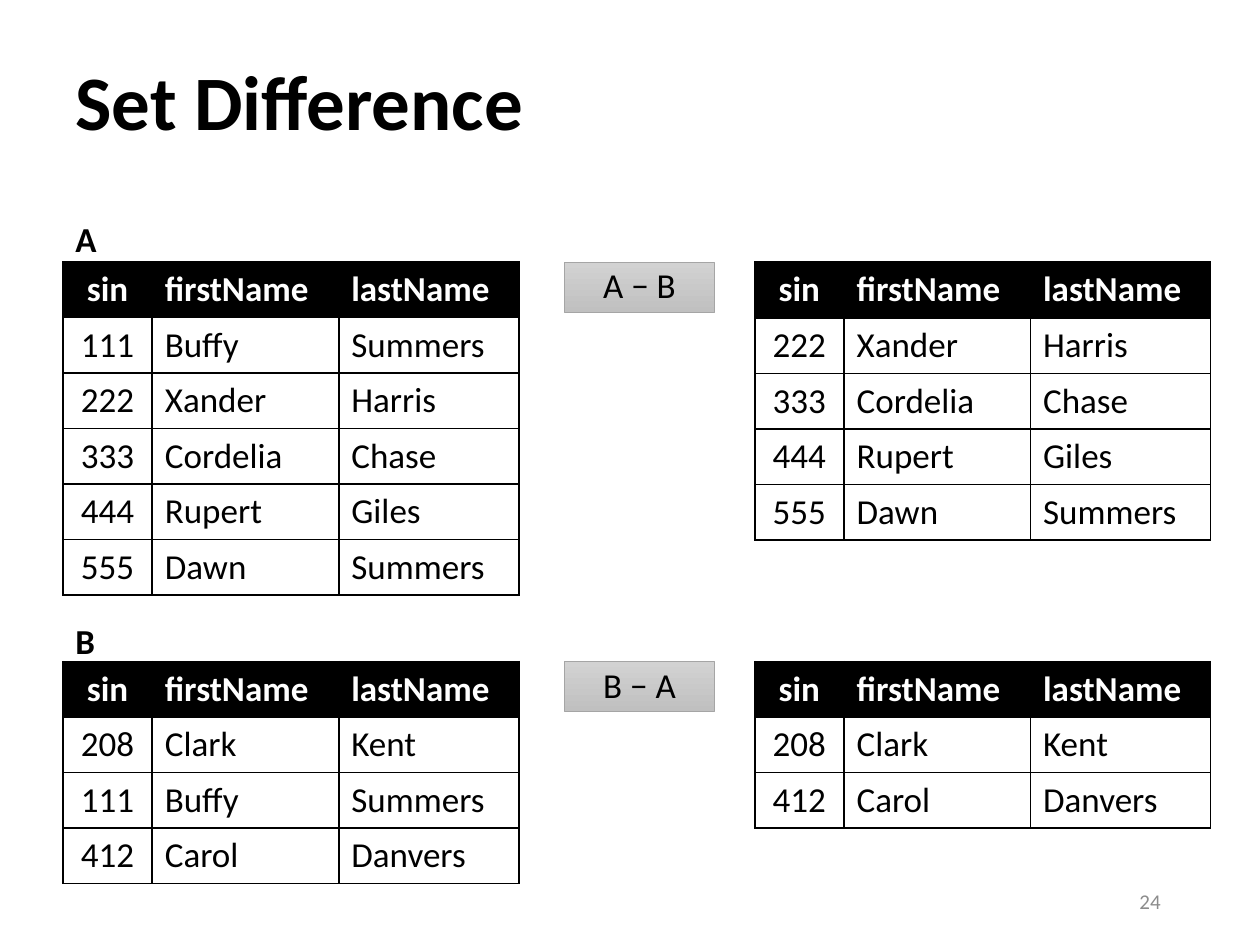
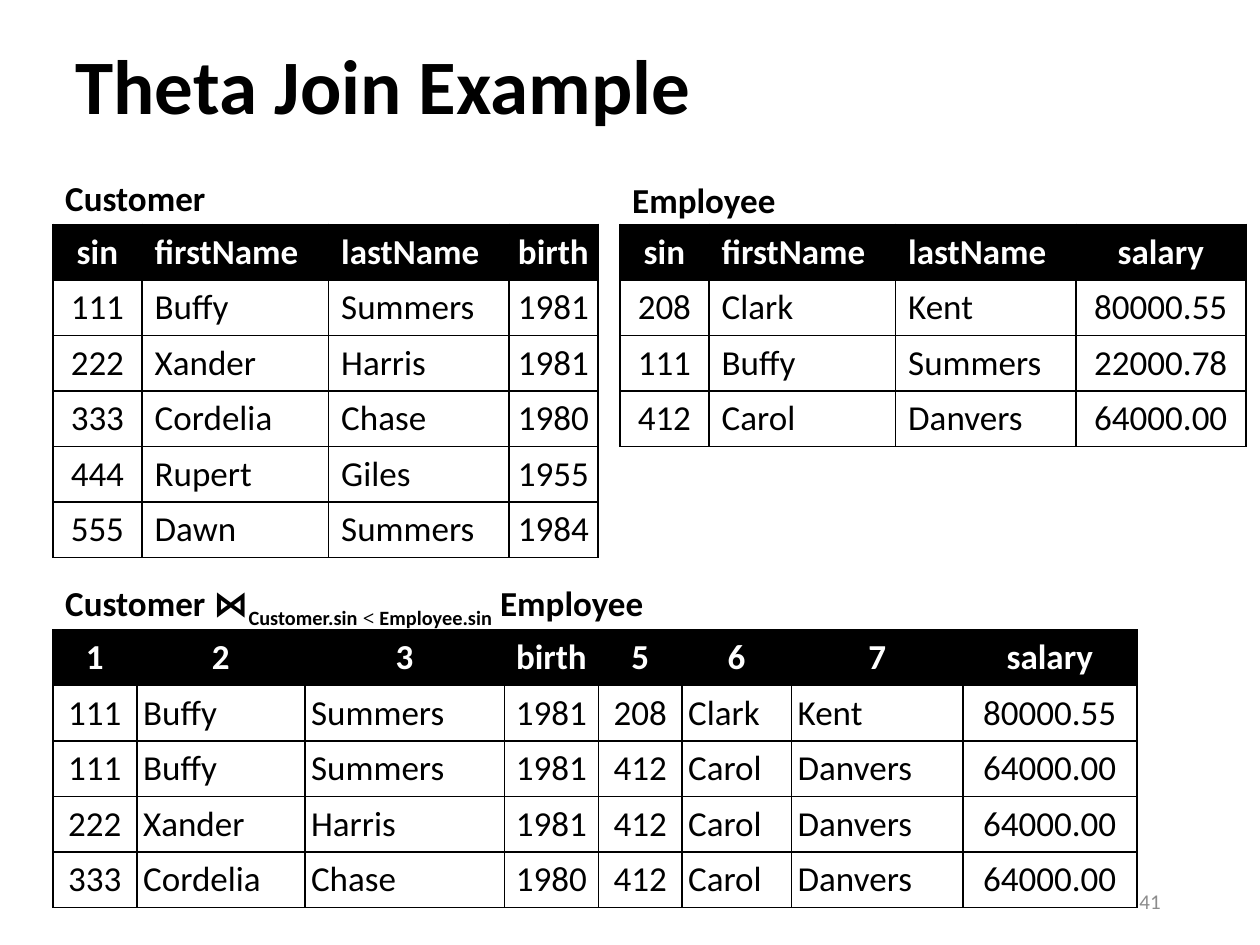
"""Build two relational algebra slides: set difference and a theta join."""
from lxml import etree
from pptx import Presentation
from pptx.dml.color import RGBColor
from pptx.enum import shapes, text
from pptx.oxml import ns
from pptx.util import Pt

BLACK, WHITE, GREY, EDGE = "000000", "FFFFFF", "8C8C8C", "A5A5A5"
LEFT, CENTER, RIGHT = text.PP_ALIGN.LEFT, text.PP_ALIGN.CENTER, text.PP_ALIGN.RIGHT
MIDDLE = text.MSO_ANCHOR.MIDDLE
CENTERED = {"sin", "birth", "salary"}


def rgb(value):
    return RGBColor.from_string(value)


def write(p, content, size=20, color=BLACK, bold=False, font="Calibri", align=LEFT, baseline=0):
    p.alignment = align
    r = p.add_run()
    r.text = content
    r.font.size, r.font.bold, r.font.name = Pt(size), bold, font
    r.font.color.rgb = rgb(color)
    if baseline:
        r._r.get_or_add_rPr().set("baseline", str(baseline * 1000))


names = ["sin", "firstName", "lastName"]
buffy = ["111", "Buffy", "Summers"]
xander = ["222", "Xander", "Harris"]
cordelia = ["333", "Cordelia", "Chase"]
rupert = ["444", "Rupert", "Giles"]
dawn = ["555", "Dawn", "Summers"]
clark = ["208", "Clark", "Kent"]
carol = ["412", "Carol", "Danvers"]

customers = [names + ["birth"], buffy + ["1981"], xander + ["1981"],
             cordelia + ["1980"], rupert + ["1955"], dawn + ["1984"]]
employees = [names + ["salary"], clark + ["80000.55"], buffy + ["22000.78"], carol + ["64000.00"]]
joined = [["1", "2", "3", "birth", "5", "6", "7", "salary"], customers[1] + employees[1]]
joined += [row + employees[3] for row in customers[1:4]]

name_cols = [51, 106.6, 103]
join_cols = [48, 96, 114, 54, 47.5, 62.6, 98, 99.4]
subscript = {"bold": True, "baseline": -25}

slides = [
    {"title": "Set Difference", "top": 9.4, "number": "24",
     "tables": [
         (36, 149.8, 31.2, name_cols, [names, buffy, xander, cordelia, rupert, dawn], []),
         (431.3, 149.8, 31.8, name_cols, [names, xander, cordelia, rupert, dawn], []),
         (36, 378, 31.2, name_cols, [names, clark, buffy, carol], []),
         (431.3, 378, 31.2, name_cols, [names, clark, carol], [])],
     "labels": [(36, 121, 30, [("A", {"bold": True})]),
                (36, 350.6, 30, [("B", {"bold": True})])],
     "operations": [("A − B", 149.8), ("B − A", 378)]},
    {"title": "Theta Join Example", "top": 0, "number": "41",
     "tables": [
         (30.2, 128.2, 31.6, name_cols + [51], customers, [3]),
         (354.2, 128.2, 31.6, name_cols + [97.2], employees, []),
         (30.2, 360, 31.6, join_cols, joined, range(8))],
     "labels": [(30.2, 97.2, 101, [("Customer", {"bold": True})]),
                (354.2, 98.6, 101, [("Employee", {"bold": True})]),
                (30.2, 329, 384, [("Customer ⋈", {"bold": True}),
                                  ("Customer.sin", subscript),
                                  (" < ", {**subscript, "font": "Times New Roman"}),
                                  ("Employee.sin", subscript),
                                  (" Employee", {"bold": True})])],
     "operations": []},
]

prs = Presentation()
prs.slide_width, prs.slide_height = Pt(720), Pt(540)

for data in slides:
    s = prs.slides.add_slide(prs.slide_layouts[5])
    title = s.shapes.title
    title.left, title.top, title.width, title.height = Pt(36), Pt(data["top"]), Pt(594), Pt(102.2)
    title.text_frame.vertical_anchor = MIDDLE
    p = title.text_frame.paragraphs[0]
    p.line_spacing = 0.9
    write(p, data["title"], size=44, bold=True)

    for left, top, row_height, widths, rows, tight in data["tables"]:
        frame = s.shapes.add_table(len(rows), len(widths), Pt(left), Pt(top),
                                   Pt(sum(widths)), Pt(row_height * len(rows)))
        table = frame.table
        table.horz_banding = False
        for col, width in zip(table.columns, widths):
            col.width = Pt(width)
        for i, row in enumerate(rows):
            table.rows[i].height = Pt(row_height)
            for j, value in enumerate(row):
                cell = table.cell(i, j)
                cell.vertical_anchor = MIDDLE
                if j in tight:
                    cell.margin_left = cell.margin_right = Pt(3.6)
                tcPr = cell._tc.get_or_add_tcPr()
                for side in ("a:lnL", "a:lnR", "a:lnT", "a:lnB"):
                    ln = etree.SubElement(tcPr, ns.qn(side), w=str(Pt(1)))
                    fill = etree.SubElement(ln, ns.qn("a:solidFill"))
                    etree.SubElement(fill, ns.qn("a:srgbClr"), val=BLACK)
                cell.fill.solid()
                cell.fill.fore_color.rgb = rgb(WHITE if i else BLACK)
                centered = value[0].isdigit() or value in CENTERED
                write(cell.text_frame.paragraphs[0], value, bold=i == 0,
                      color=BLACK if i else WHITE, align=CENTER if centered else LEFT)

    for content, top in data["operations"]:
        sp = s.shapes.add_shape(shapes.MSO_SHAPE.RECTANGLE, Pt(322.6), Pt(top), Pt(85.7), Pt(28.8))
        sp.shadow.inherit = False
        sp.fill.gradient()
        sp.fill.gradient_angle = 270
        for stop, color in zip(sp.fill.gradient_stops, ("D2D2D2", "C0C0C0")):
            stop.color.rgb = rgb(color)
        sp.line.color.rgb = rgb(EDGE)
        sp.line.width = Pt(0.5)
        sp.text_frame.vertical_anchor = MIDDLE
        p = sp.text_frame.paragraphs[0]
        p.line_spacing = 0.9
        write(p, content, align=CENTER)

    for left, top, width, runs in data["labels"]:
        tf = s.shapes.add_textbox(Pt(left), Pt(top), Pt(width), Pt(31.6)).text_frame
        tf.word_wrap = True
        tf.auto_size = text.MSO_AUTO_SIZE.SHAPE_TO_FIT_TEXT
        for content, style in runs:
            write(tf.paragraphs[0], content, **style)

    tf = s.shapes.add_textbox(Pt(508.3), Pt(500.4), Pt(162), Pt(28.8)).text_frame
    tf.word_wrap = True
    tf.vertical_anchor = MIDDLE
    write(tf.paragraphs[0], data["number"], size=12, color=GREY, align=RIGHT)

prs.save("out.pptx")
